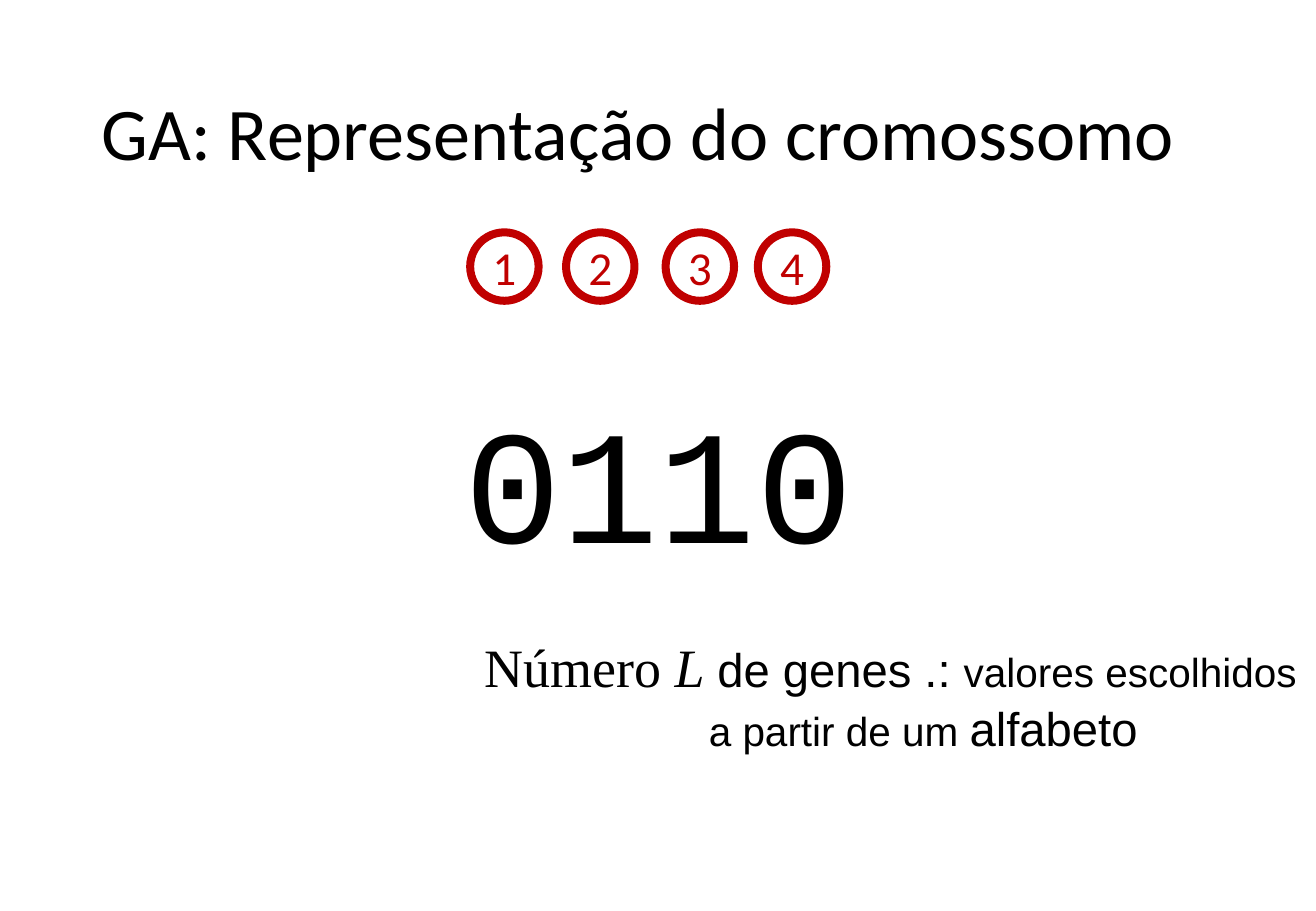
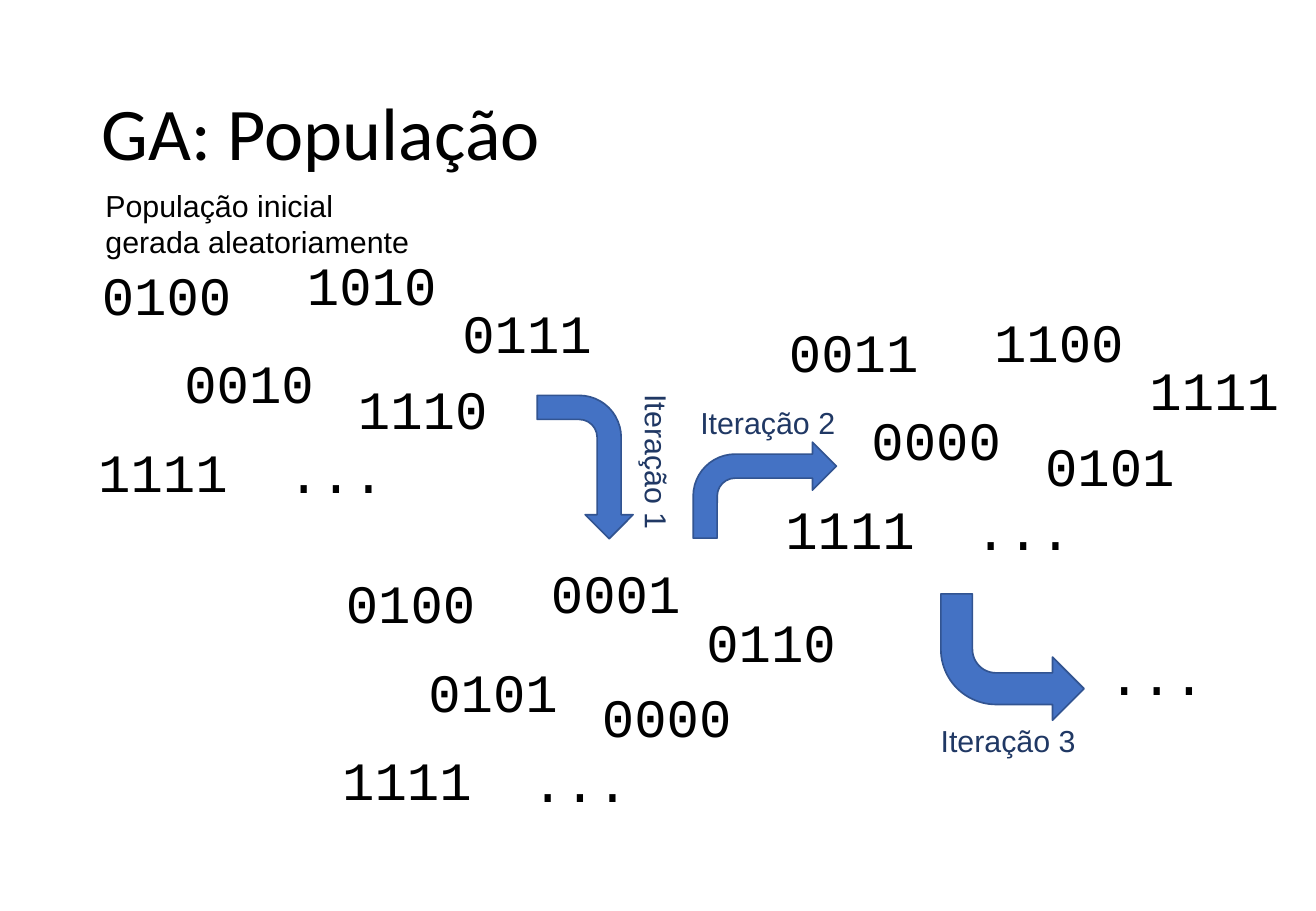
from pptx import Presentation
from pptx.dml.color import RGBColor
from pptx.enum.shapes import MSO_SHAPE
from pptx.enum.text import MSO_ANCHOR, PP_ALIGN
from pptx.util import Inches, Pt

DONUT, BENT_ARROW = MSO_SHAPE.DONUT, MSO_SHAPE.BENT_ARROW
MIDDLE, CENTER = MSO_ANCHOR.MIDDLE, PP_ALIGN.CENTER

COLORS = {name: RGBColor.from_string(value) for name, value in {
    "text": "000000",
    "gene": "C00000",
    "arrow": "4472C4",
    "arrow_line": "325491",
    "label": "203864",
}.items()}
TITLE_FONT, BODY_FONT = "Calibri", "Arial"
CODE_FONT, SERIF_FONT = "Courier New", "Times New Roman"

# Position of each chromosome relative to the first one of its generation
CHROMOSOME_OFFSETS = [(0, 0), (0.68, 0.73), (1.69, -0.08), (2.11, 0.94),
                      (2.97, 0.32), (-0.03, 1.46)]
ELLIPSIS_OFFSET = (1.53, 1.47)


def style_font(font, name, size, color="text"):
    font.name = name
    font.size = Pt(size)
    font.color.rgb = COLORS[color]


def add_text(slide, box, lines, font_name, size, color="text"):
    shape = slide.shapes.add_textbox(*map(Inches, box))
    frame = shape.text_frame
    frame.word_wrap = False
    frame.text = "\n".join(lines)
    for paragraph in frame.paragraphs:
        style_font(paragraph.font, font_name, size, color)
    return shape


def add_titled_slide(presentation, title):
    slide = presentation.slides.add_slide(presentation.slide_layouts[6])
    frame = add_text(slide, (0.74, 0.4, 9.35, 1.45), [title],
                     TITLE_FONT, 44).text_frame
    frame.word_wrap = True
    frame.vertical_anchor = MIDDLE
    frame.paragraphs[0].line_spacing = 0.9
    return slide


def add_gene_marker(slide, left, top, number):
    size = Inches(0.63)
    shape = slide.shapes.add_shape(DONUT, Inches(left), Inches(top), size, size)
    shape.adjustments[0] = 0.105
    shape.shadow.inherit = False
    shape.fill.solid()
    shape.fill.fore_color.rgb = COLORS["gene"]
    shape.line.fill.background()
    frame = shape.text_frame
    frame.margin_left = frame.margin_right = 0
    frame.margin_top = frame.margin_bottom = 0
    frame.text = str(number)
    frame.vertical_anchor = MIDDLE
    paragraph = frame.paragraphs[0]
    paragraph.alignment = CENTER
    style_font(paragraph.font, TITLE_FONT, 28, "gene")


def add_gene_note(slide, box):
    shape = slide.shapes.add_textbox(*map(Inches, box))
    frame = shape.text_frame
    frame.word_wrap = False
    lines = [
        [("Número", SERIF_FONT, 32, False), (" L ", SERIF_FONT, 32, True),
         ("de genes .: ", BODY_FONT, 28, False),
         ("valores escolhidos", BODY_FONT, 24, False)],
        [("a partir de um ", BODY_FONT, 24, False),
         ("alfabeto", BODY_FONT, 28, False)],
    ]
    for paragraph, runs in zip((frame.paragraphs[0], frame.add_paragraph()), lines):
        for text, font_name, size, italic in runs:
            run = paragraph.add_run()
            run.text = text
            style_font(run.font, font_name, size)
            run.font.italic = italic
    properties = frame.paragraphs[1]._p.get_or_add_pPr()
    properties.set("marL", str(Inches(1.85)))
    properties.set("indent", "0")


def add_code(slide, left, top, text):
    width = 1.28 if len(text) == 4 else 1.01
    add_text(slide, (left, top, width, 0.64), [text], CODE_FONT, 32)


def add_generation(slide, left, top, chromosomes):
    """Scatter six chromosomes and an ellipsis around the given corner."""
    offsets = CHROMOSOME_OFFSETS + [ELLIPSIS_OFFSET]
    for (across, down), text in zip(offsets, chromosomes + ["..."]):
        add_code(slide, left + across, top + down, text)


def add_bent_arrow(slide, box, rotation=0, flipped=False):
    shape = slide.shapes.add_shape(BENT_ARROW, *map(Inches, box))
    shape.rotation = rotation
    if flipped:
        shape._element.spPr.xfrm.set("flipV", "1")
    shape.shadow.inherit = False
    shape.fill.solid()
    shape.fill.fore_color.rgb = COLORS["arrow"]
    shape.line.color.rgb = COLORS["arrow_line"]
    shape.line.width = Pt(1)


def add_iteration_label(slide, left, top, number, rotation=0):
    shape = add_text(slide, (left, top, 1.32, 0.4), [f"Iteração {number}"],
                     BODY_FONT, 18, "label")
    shape.rotation = rotation


def build_chromosome_slide(presentation):
    slide = add_titled_slide(presentation, "GA: Representação do cromossomo")
    add_text(slide, (3.73, 3.09, 3.43, 1.72), ["0110"], CODE_FONT, 96)
    for number, left in enumerate((3.84, 4.63, 5.45, 6.21), start=1):
        add_gene_marker(slide, left, 1.88, number)
    add_gene_note(slide, (3.89, 5.17, 6.95, 1.11))


def build_population_slide(presentation):
    slide = add_titled_slide(presentation, "GA: População")
    add_text(slide, (0.77, 1.49, 2.73, 0.71),
             ["População inicial", "gerada aleatoriamente"], BODY_FONT, 18)
    add_generation(slide, 0.74, 2.1,
                   ["0100", "0010", "1010", "1110", "0111", "1111"])
    add_bent_arrow(slide, (4.23, 3.45, 1.18, 0.79), rotation=90)
    add_generation(slide, 2.75, 4.64,
                   ["0100", "0101", "0001", "0000", "0110", "1111"])
    add_bent_arrow(slide, (5.71, 3.64, 1.18, 0.79))
    add_generation(slide, 6.4, 2.57,
                   ["0011", "0000", "1100", "0101", "1111", "1111"])
    add_bent_arrow(slide, (7.75, 4.89, 1.18, 1.04), flipped=True)
    add_code(slide, 9.03, 5.23, "...")
    add_iteration_label(slide, 4.75, 3.61, 1, rotation=90)
    add_iteration_label(slide, 5.67, 3.28, 2)
    add_iteration_label(slide, 7.65, 5.9, 3)


def main():
    presentation = Presentation()
    presentation.slide_width = Inches(10.84)
    presentation.slide_height = Inches(7.5)
    build_chromosome_slide(presentation)
    build_population_slide(presentation)
    presentation.save("out.pptx")


if __name__ == "__main__":
    main()
